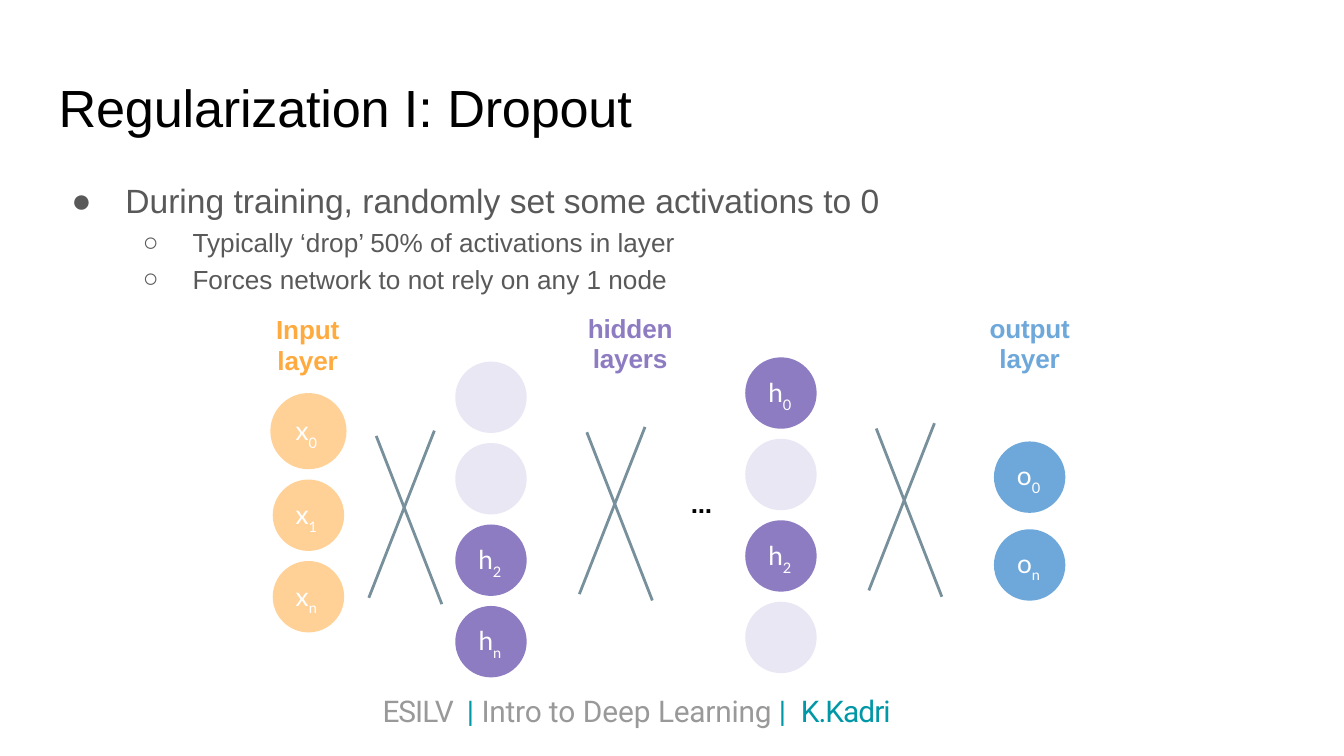
from lxml import etree
from pptx import Presentation
from pptx import util as u
from pptx.dml import color
from pptx.enum import shapes, text
from pptx.oxml.ns import qn

ORANGE, PURPLE, BLUE = "FFAA3F", "8E7CC3", "6EA8DB"
BLACK, WHITE, GREY = "000000", "FFFFFF", "595959"
LIGHT, TEAL, SLATE = "999999", "0097A7", "77909C"


def rgb(value):
    return color.RGBColor.from_string(value)


def add_text(p, content, size=14, font="Arial", fill=BLACK, bold=False,
             spacing=0, baseline=0):
    r = p.add_run()
    r.text = content
    r.font.size, r.font.name, r.font.bold = u.Pt(size), font, bold
    r.font.color.rgb = rgb(fill)
    rpr = r.font._element
    if spacing:
        rpr.set("spc", str(round(spacing * 100)))
    if baseline:
        rpr.set("baseline", str(baseline * 1000))
    return r


class Deck:
    node_size = 1.35
    line_width = 1.5

    def __init__(self, width, height):
        self.prs = Presentation()
        self.prs.slide_width, self.prs.slide_height = u.Cm(width), u.Cm(height)
        self.s = self.prs.slides.add_slide(self.prs.slide_layouts[6])

    def frame(self, tf, top=0, right=0, wrap=True):
        tf.margin_left = tf.margin_bottom = 0
        tf.margin_top, tf.margin_right = u.Cm(top), u.Cm(right)
        tf.word_wrap = wrap
        return tf

    def box(self, x, y, w, h, top=0):
        sp = self.s.shapes.add_textbox(u.Cm(x), u.Cm(y), u.Cm(w), u.Cm(h))
        return self.frame(sp.text_frame, top)

    def bullet(self, p, char, margin, indent, before=None):
        ppr = p._p.get_or_add_pPr()
        ppr.set("marL", str(u.Cm(margin)))
        ppr.set("indent", str(u.Cm(indent)))
        etree.SubElement(ppr, qn("a:buFont")).set("typeface", "Arial")
        etree.SubElement(ppr, qn("a:buChar")).set("char", char)
        if before is not None:
            p.space_before = u.Pt(before)

    def heading(self, content, x, y, w, fill):
        p = self.box(x, y, w, 1.24, top=0.07).paragraphs[0]
        p.alignment = text.PP_ALIGN.CENTER
        p.line_spacing = u.Pt(16.5)
        add_text(p, content, fill=fill, bold=True, spacing=-0.1)

    def node(self, cx, cy, fill, alpha=100, size=node_size):
        sp = self.s.shapes.add_shape(
            shapes.MSO_SHAPE.OVAL, u.Cm(cx - size / 2), u.Cm(cy - size / 2),
            u.Cm(size), u.Cm(size))
        sp.shadow.inherit = False
        sp.fill.solid()
        sp.fill.fore_color.rgb = rgb(fill)
        sp.line.fill.background()
        if alpha < 100:
            clr = sp._element.spPr.find(".//" + qn("a:srgbClr"))
            etree.SubElement(clr, qn("a:alpha")).set("val", str(alpha * 1000))
        return sp

    def label(self, sp, letter, index, top=0.06, right=0.04):
        tf = self.frame(sp.text_frame, top, right, wrap=False)
        tf.vertical_anchor = text.MSO_ANCHOR.MIDDLE
        p = tf.paragraphs[0]
        p.alignment = text.PP_ALIGN.CENTER
        add_text(p, letter, font="Lato", fill=WHITE, spacing=-0.2)
        add_text(p, index, 13.5, "Lato", WHITE, spacing=-0.4, baseline=-31)

    def line(self, x1, y1, x2, y2):
        c = self.s.shapes.add_connector(
            shapes.MSO_CONNECTOR.STRAIGHT,
            u.Cm(x1), u.Cm(y1), u.Cm(x2), u.Cm(y2))
        c.line.color.rgb = rgb(SLATE)
        c.line.width = u.Pt(self.line_width)
        etree.SubElement(c._element.spPr, qn("a:effectLst"))

    def cross(self, x, y):
        self.line(x, y + 3.16, x + 1.24, y)
        self.line(x + 0.14, y + 0.1, x + 1.38, y + 3.28)


def main():
    deck = Deck(25.4, 14.29)

    # Title
    p = deck.box(1.08, 1.4, 20.09, 1.24, top=0.03).paragraphs[0]
    p._p.get_or_add_pPr().set("marL", str(u.Cm(0.03)))
    for content, spacing in (("Regularization ", -0.1), ("I: ", 0),
                             ("Dropout", -0.1)):
        add_text(p, content, 28, spacing=spacing)

    # Bullet list
    tf = deck.box(1.33, 3.23, 15.34, 2.39, top=0.18)
    p = tf.paragraphs[0]
    deck.bullet(p, "●", 1.04, -1.02)
    add_text(p, "During training, randomly set some activations to 0", 18,
             fill=GREY)
    for content, before in (
            ("Typically ‘drop’ 50% of activations in layer", 3.3),
            ("Forces network to not rely on any 1 node", 2.7)):
        p = tf.add_paragraph()
        p.level = 1
        deck.bullet(p, "○", 2.31, -0.94, before)
        add_text(p, content, fill=GREY)

    # Layer headings
    deck.heading("Input layer", 5.18, 5.87, 1.27, ORANGE)
    deck.heading("hidden layers", 11.07, 5.84, 1.68, PURPLE)
    deck.heading("output layer", 18.66, 5.84, 1.6, BLUE)

    # Input nodes, the first slightly larger
    for index, cy, size in (("0", 8.15, 1.44), ("1", 9.74, deck.node_size),
                            ("n", 11.28, deck.node_size)):
        sp = deck.node(5.83, cy, ORANGE, 54, size)
        deck.label(sp, "x", index, right=0.08)

    # Hidden nodes, dropped ones faded and unlabelled
    for cx, top, dropped in ((9.28, 7.51, "01"), (14.76, 7.43, "1n")):
        for i, index in enumerate("012n"):
            cy = top + 1.54 * i
            if index in dropped:
                deck.node(cx, cy, PURPLE, 18)
            else:
                deck.label(deck.node(cx, cy, PURPLE), "h", index)

    # Output nodes
    for i, index in enumerate("0n"):
        sp = deck.node(19.46, 9.02 + 1.66 * i, BLUE)
        deck.label(sp, "o", index, top=0.02)

    # Connections between layers
    for x, y in ((6.97, 8.14), (10.95, 8.07), (16.42, 8)):
        deck.cross(x, y)
    p = deck.box(13.06, 9.19, 0.6, 0.66, top=0.03).paragraphs[0]
    add_text(p, "...", bold=True, spacing=-0.2)

    # Footer
    p = deck.box(7.2, 13.09, 11.61, 0.69).paragraphs[0]
    p._p.get_or_add_pPr().set("marL", str(u.Cm(0.03)))
    p.line_spacing = u.Pt(19.1)
    for content, fill, spacing in (
            ("ESILV", LIGHT, -0.5), (" ", LIGHT, 3), ("| ", TEAL, 0),
            ("Intro ", LIGHT, -0.1), ("to Deep ", LIGHT, 0),
            ("Learning ", LIGHT, -0.1), ("|", TEAL, 0),
            (" ", TEAL, 4), ("K.Kadri", TEAL, -0.5)):
        add_text(p, content, 16, "Roboto", fill, spacing=spacing)

    deck.prs.save("out.pptx")


if __name__ == "__main__":
    main()
